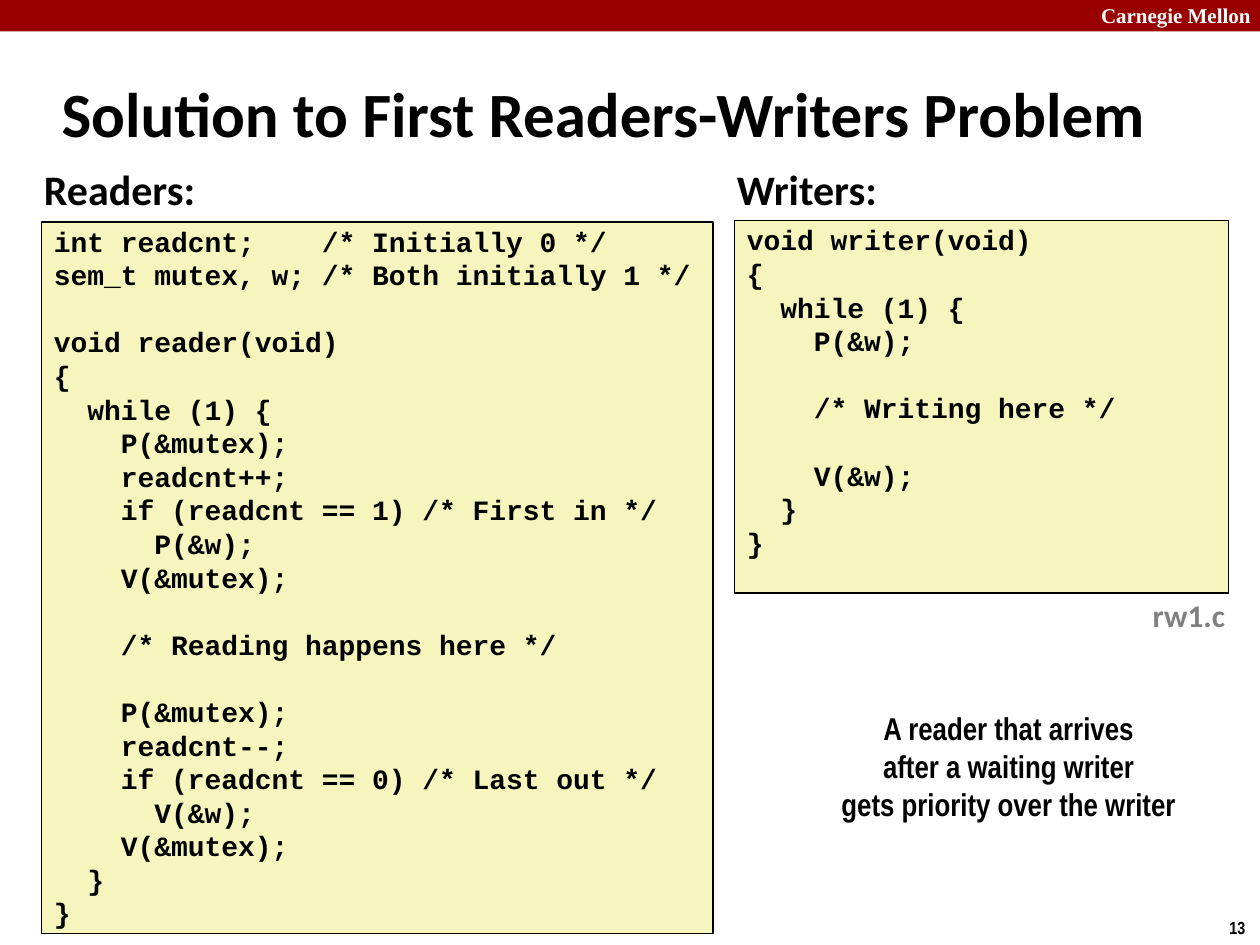
from pptx import Presentation
from pptx.dml.color import RGBColor
from pptx.enum.shapes import MSO_SHAPE
from pptx.enum.text import MSO_ANCHOR, PP_ALIGN
from pptx.util import Inches, Pt

COLORS = {"red": "990000", "cream": "F6F5BD", "black": "000000",
          "gray": "808080", "white": "FFFFFF"}
CODE_LINE = Pt(19.2)

READER_CODE = """int readcnt;    /* Initially 0 */
sem_t mutex, w; /* Both initially 1 */

void reader(void)
{
  while (1) {
    P(&mutex);
    readcnt++;
    if (readcnt == 1) /* First in */
      P(&w);
    V(&mutex);

    /* Reading happens here */

    P(&mutex);
    readcnt--;
    if (readcnt == 0) /* Last out */
      V(&w);
    V(&mutex);
  }
}"""

WRITER_CODE = """void writer(void)
{
  while (1) {
    P(&w);

    /* Writing here */

    V(&w);
  }
}"""

# Code and its place: left, top, width, height
LISTINGS = [
    (READER_CODE, (0.33, 1.76, 5.33, 5.65)),
    (WRITER_CODE, (5.83, 1.75, 3.92, 2.96)),
]

# Lines, place, font, size, colour, layout
LABELS = [
    (["Carnegie Mellon"], (8.64, -0.03, 1.43, 0.3), "Times New Roman", 12, "white",
     {"word_wrap": True}),
    (["13"], (9.66, 7.23, 0.34, 0.27), "Arial Narrow", 10, "black", {"word_wrap": False}),
    (["Solution to First Readers-Writers Problem"], (0.39, 0.48, 9.36, 0.83),
     "Calibri", 36, "black", {"word_wrap": True, "vertical_anchor": MSO_ANCHOR.MIDDLE}),
    (["Readers:"], (0.25, 1.25, 1.41, 0.5), "Calibri", 24, "black", {"word_wrap": False}),
    (["Writers:"], (5.75, 1.25, 1.32, 0.5), "Calibri", 24, "black", {"word_wrap": False}),
    (["rw1.c"], (9.05, 4.68, 0.78, 0.4), "Calibri", 18, "gray", {"word_wrap": False}),
    (["A reader that arrives", "after a waiting writer", "gets priority over the writer"],
     (6.56, 5.58, 2.89, 1.01), "Arial Narrow", 18, "black", {"word_wrap": False}),
]


def color(name):
    return RGBColor.from_string(COLORS[name])


def apply(target, values):
    for name, value in values.items():
        setattr(target, name, value)


def write_lines(frame, lines, font, size, ink, paragraph_format):
    """Write one paragraph per line; an empty line becomes space before the next."""
    gap = 0
    para = None
    for line in lines:
        if not line:
            gap += CODE_LINE
            continue
        para = frame.paragraphs[0] if para is None else frame.add_paragraph()
        apply(para, paragraph_format)
        if gap:
            para.space_before = gap
        gap = 0
        span = para.add_run()
        span.text = line
        apply(span.font, {"name": font, "size": Pt(size), "bold": True})
        span.font.color.rgb = color(ink)


def add_rectangle(page, place, fill):
    box = page.shapes.add_shape(MSO_SHAPE.RECTANGLE, *map(Inches, place))
    box.shadow.inherit = False
    box.fill.solid()
    box.fill.fore_color.rgb = color(fill)
    return box


def add_listing(page, code, place):
    box = add_rectangle(page, place, "cream")
    box.line.color.rgb = color("black")
    box.line.width = Pt(1)
    apply(box.text_frame, {"word_wrap": True, "vertical_anchor": MSO_ANCHOR.TOP,
                           "margin_top": Inches(0.02), "margin_bottom": 0})
    write_lines(box.text_frame, code.splitlines(), "Courier New", 16, "black",
                {"alignment": PP_ALIGN.LEFT, "line_spacing": CODE_LINE})


def add_label(page, lines, place, font, size, ink, layout):
    box = page.shapes.add_textbox(*map(Inches, place))
    apply(box.text_frame, layout)
    alignment = PP_ALIGN.CENTER if len(lines) > 1 else PP_ALIGN.LEFT
    write_lines(box.text_frame, lines, font, size, ink, {"alignment": alignment})


def main():
    deck = Presentation()
    deck.slide_width, deck.slide_height = Inches(10), Inches(7.5)
    page = deck.slides.add_slide(deck.slide_layouts[6])

    # Header band
    band = add_rectangle(page, (0, 0, 10, 0.25), "red")
    band.line.fill.background()

    # Code listings
    for listing in LISTINGS:
        add_listing(page, *listing)

    # Title, headings and notes
    for label in LABELS:
        add_label(page, *label)

    deck.save("out.pptx")


if __name__ == "__main__":
    main()
